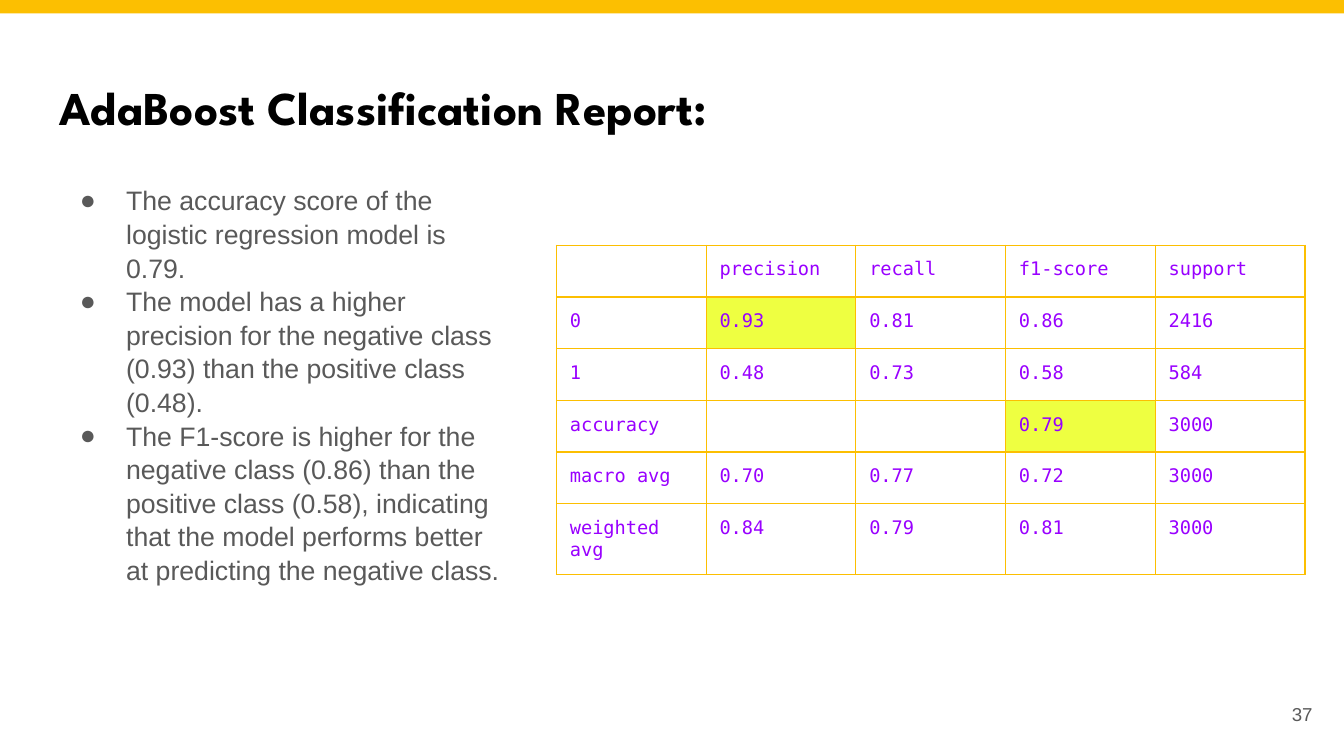
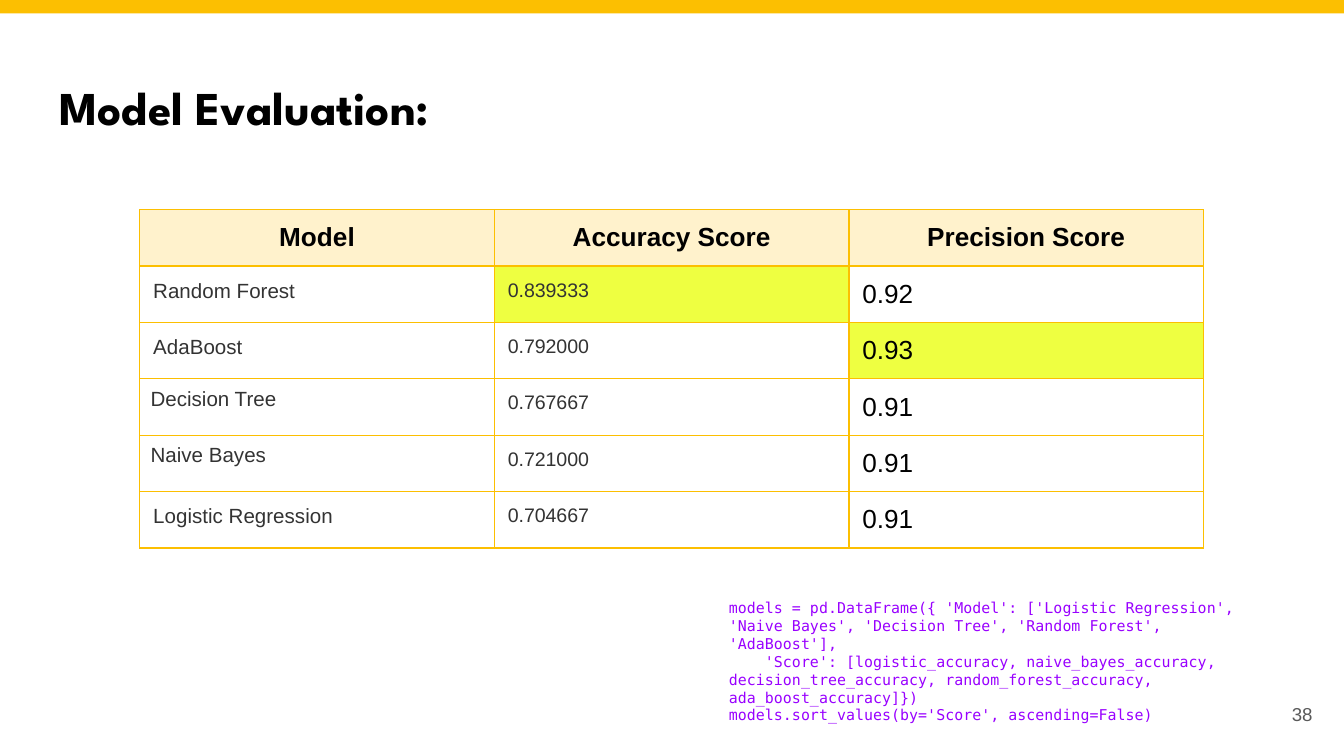
from dataclasses import dataclass, replace

from lxml import etree
from pptx import Presentation
from pptx.dml.color import RGBColor
from pptx.enum.shapes import MSO_SHAPE
from pptx.enum.text import MSO_ANCHOR, MSO_AUTO_SIZE, PP_ALIGN
from pptx.oxml.ns import qn
from pptx.util import Emu, Pt

RECTANGLE = MSO_SHAPE.RECTANGLE
LEFT, CENTER, RIGHT = PP_ALIGN.LEFT, PP_ALIGN.CENTER, PP_ALIGN.RIGHT
TOP, MIDDLE = MSO_ANCHOR.TOP, MSO_ANCHOR.MIDDLE
NO_FIT, GROW = MSO_AUTO_SIZE.NONE, MSO_AUTO_SIZE.SHAPE_TO_FIT_TEXT

EMU_PER_PX = 4572
SLIDE_WIDTH, SLIDE_HEIGHT = 2000, 1125
TITLE_ONLY = 5
INSET = (20, 20)
TIGHT_INSET = (16, 8)
BORDER_POINTS = 0.75

COLORS = {
    "accent": "FCBF01",
    "title": "000000",
    "body": "595959",
    "code": "9900FF",
    "label": "333333",
    "highlight": "EEFF41",
    "header": "FFF2CC",
}


@dataclass(frozen=True)
class TextStyle:
    size: float
    color: str
    font: str = "Arial"
    bold: bool = False
    align: PP_ALIGN = LEFT
    line_spacing: float = 1.0


TITLE = TextStyle(25.2, "title", "League Spartan", True)
BULLETS = TextStyle(14.3, "body", line_spacing=1.05)
PAGE_NUMBER = TextStyle(10, "body", align=RIGHT)
REPORT = TextStyle(10, "code", "DejaVu Sans Mono")
CODE = replace(REPORT, size=8)
HEADER = TextStyle(14, "title", bold=True, align=CENTER)
MODEL = TextStyle(11, "label")
LOOSE_MODEL = replace(MODEL, line_spacing=1.15)
ACCURACY = replace(MODEL, size=10.5)
PRECISION = TextStyle(14, "title")

REPORT_ROWS = [
    ["", "precision", "recall", "f1-score", "support"],
    ["0", "0.93", "0.81", "0.86", "2416"],
    ["1", "0.48", "0.73", "0.58", "584"],
    ["accuracy", "", "", "0.79", "3000"],
    ["macro avg", "0.70", "0.77", "0.72", "3000"],
    ["weighted avg", "0.84", "0.79", "0.81", "3000"],
]
REPORT_HIGHLIGHTS = {(1, 1), (3, 3)}

MODEL_ROWS = [
    ["Model", "Accuracy Score", "Precision Score"],
    ["Random Forest", "0.839333", "0.92"],
    ["AdaBoost", "0.792000", "0.93"],
    ["Decision Tree", "0.767667", "0.91"],
    ["Naive Bayes", "0.721000", "0.91"],
    ["Logistic Regression", "0.704667", "0.91"],
]
MODEL_HIGHLIGHTS = {(1, 1), (2, 2)}
TIGHT_MODELS = {"Decision Tree", "Naive Bayes"}

FINDINGS = [
    "The accuracy score of the logistic regression model is 0.79.",
    "The model has a higher precision for the negative class (0.93) than the "
    "positive class (0.48).",
    "The F1-score is higher for the negative class (0.86) than the positive "
    "class (0.58), indicating that the model performs better at predicting the "
    "negative class.",
]
CODE_LINES = [
    "models = pd.DataFrame({ 'Model': ['Logistic Regression', 'Naive Bayes', "
    "'Decision Tree', 'Random Forest', 'AdaBoost'],",
    "    'Score': [logistic_accuracy, naive_bayes_accuracy, "
    "decision_tree_accuracy, random_forest_accuracy, ada_boost_accuracy]})",
    "models.sort_values(by='Score', ascending=False)",
]


def px(value):
    return Emu(value * EMU_PER_PX)


def rgb(name):
    return RGBColor.from_string(COLORS[name])


def format_paragraph(paragraph, style):
    paragraph.alignment = style.align
    paragraph.line_spacing = style.line_spacing
    for run in paragraph.runs:
        run.font.name = style.font
        run.font.size = Pt(style.size)
        run.font.bold = style.bold
        run.font.color.rgb = rgb(style.color)


def set_insets(target, insets):
    horizontal, vertical = insets
    target.margin_left = target.margin_right = px(horizontal)
    target.margin_top = target.margin_bottom = px(vertical)


def fill_text(text_frame, lines, style, anchor=TOP, auto_size=NO_FIT):
    text_frame.text = "\n".join(lines)
    text_frame.word_wrap = True
    text_frame.auto_size = auto_size
    text_frame.vertical_anchor = anchor
    set_insets(text_frame, INSET)
    for paragraph in text_frame.paragraphs:
        format_paragraph(paragraph, style)


def add_text(slide, box, lines, style, **options):
    shape = slide.shapes.add_textbox(*map(px, box))
    fill_text(shape.text_frame, lines, style, **options)
    return shape


def add_bullet(paragraph, style):
    properties = paragraph._p.get_or_add_pPr()
    properties.set("marL", str(px(100)))
    properties.set("indent", str(px(-69)))
    bullet_color = etree.SubElement(properties, qn("a:buClr"))
    etree.SubElement(bullet_color, qn("a:srgbClr"), val=COLORS[style.color])
    etree.SubElement(properties, qn("a:buSzPts"), val=str(int(style.size * 100)))
    etree.SubElement(properties, qn("a:buFont"), typeface=style.font)
    etree.SubElement(properties, qn("a:buChar"), char="●")


def add_bullets(slide, box, lines, style):
    shape = add_text(slide, box, lines, style)
    for paragraph in shape.text_frame.paragraphs:
        add_bullet(paragraph, style)


def set_borders(cell):
    properties = cell._tc.get_or_add_tcPr()
    for position, side in enumerate(("lnL", "lnR", "lnT", "lnB")):
        line = etree.Element(qn(f"a:{side}"), w=str(Pt(BORDER_POINTS)))
        solid = etree.SubElement(line, qn("a:solidFill"))
        etree.SubElement(solid, qn("a:srgbClr"), val=COLORS["accent"])
        properties.insert(position, line)


def fill_cell(cell, text, style, fill=None, insets=INSET):
    cell.text = text
    cell.vertical_anchor = TOP
    set_insets(cell, insets)
    paragraph = cell.text_frame.paragraphs[0]
    format_paragraph(paragraph, style)
    if not text:
        etree.SubElement(
            paragraph._p, qn("a:endParaRPr"), sz=str(int(style.size * 100))
        )
    if fill:
        cell.fill.solid()
        cell.fill.fore_color.rgb = rgb(fill)
    else:
        cell.fill.background()
    set_borders(cell)


def add_grid(slide, left, top, width, row_heights, rows, cell_format):
    column_count = len(rows[0])
    frame = slide.shapes.add_table(
        len(rows), column_count, px(left), px(top), px(width), px(sum(row_heights))
    )
    table = frame.table
    table.first_row = table.horz_banding = False
    for column in table.columns:
        column.width = Emu(px(width) // column_count)
    for row_index, values in enumerate(rows):
        table.rows[row_index].height = px(row_heights[row_index])
        for column_index, text in enumerate(values):
            fill_cell(
                table.cell(row_index, column_index),
                text,
                **cell_format(row_index, column_index),
            )


def report_format(row, column):
    fill = "highlight" if (row, column) in REPORT_HIGHLIGHTS else None
    return {"style": REPORT, "fill": fill}


def model_format(row, column):
    if row == 0:
        return {"style": HEADER, "fill": "header"}
    if column == 0 and MODEL_ROWS[row][0] in TIGHT_MODELS:
        return {"style": LOOSE_MODEL, "insets": TIGHT_INSET}
    fill = "highlight" if (row, column) in MODEL_HIGHLIGHTS else None
    return {"style": (MODEL, ACCURACY, PRECISION)[column], "fill": fill}


def add_top_band(slide):
    band = slide.shapes.add_shape(RECTANGLE, 0, 0, px(SLIDE_WIDTH), px(20))
    band.shadow.inherit = False
    band.fill.solid()
    band.fill.fore_color.rgb = rgb("accent")
    band.line.fill.background()


def add_titled_slide(presentation, title_text, number):
    slide = presentation.slides.add_slide(presentation.slide_layouts[TITLE_ONLY])
    title = slide.shapes.title
    title.left, title.top, title.width, title.height = map(px, (68, 97, 1864, 126))
    fill_text(title.text_frame, [title_text], TITLE)
    add_top_band(slide)
    add_text(slide, (1853, 1020, 120, 86), [str(number)], PAGE_NUMBER, anchor=MIDDLE)
    return slide


def add_report_slide(presentation):
    slide = add_titled_slide(presentation, "AdaBoost Classification Report:", 37)
    add_grid(slide, 828, 365, 1114, [77] * 5 + [105], REPORT_ROWS, report_format)
    add_bullets(slide, (68, 252, 704, 748), FINDINGS, BULLETS)


def add_evaluation_slide(presentation):
    slide = add_titled_slide(presentation, "Model Evaluation:", 38)
    add_grid(slide, 208, 312, 1583, [84] * 6, MODEL_ROWS, model_format)
    add_text(slide, (1065, 871, 846, 202), CODE_LINES, CODE, auto_size=GROW)


def main():
    presentation = Presentation()
    presentation.slide_width = px(SLIDE_WIDTH)
    presentation.slide_height = px(SLIDE_HEIGHT)
    add_report_slide(presentation)
    add_evaluation_slide(presentation)
    presentation.save("out.pptx")


if __name__ == "__main__":
    main()
